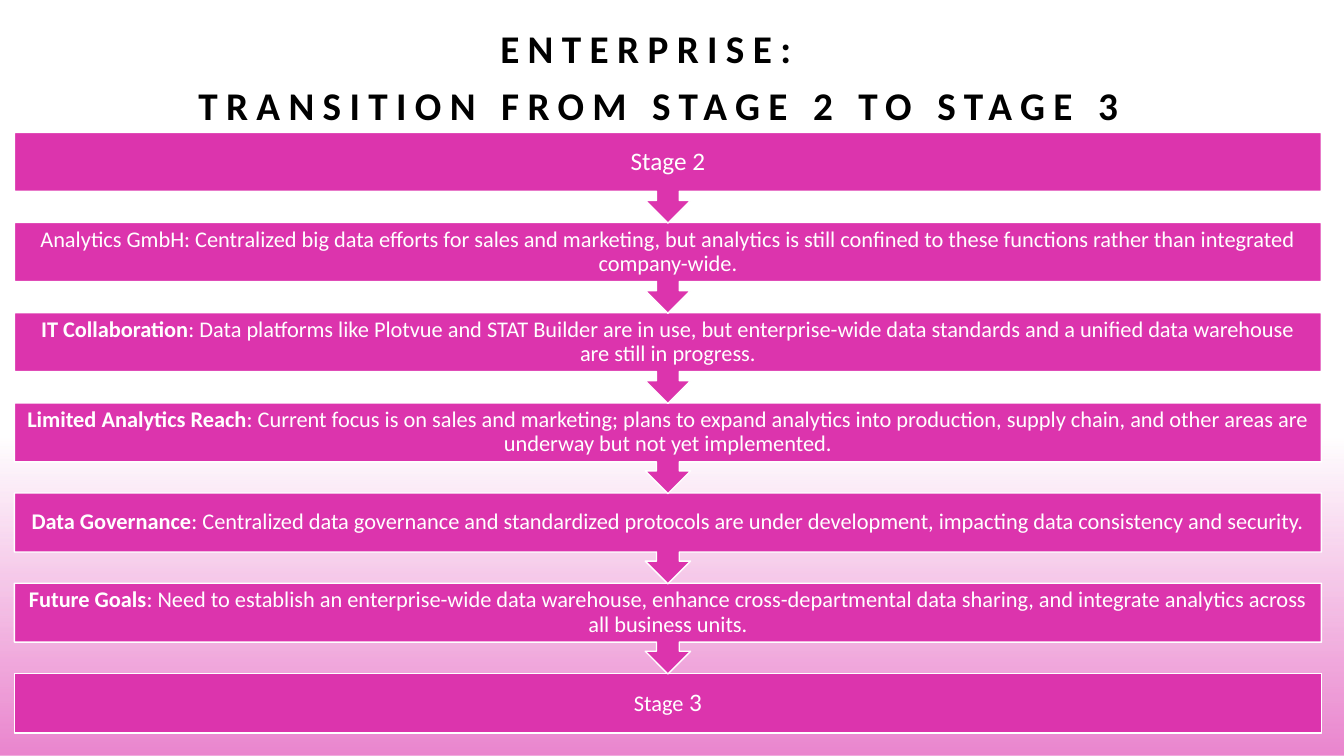
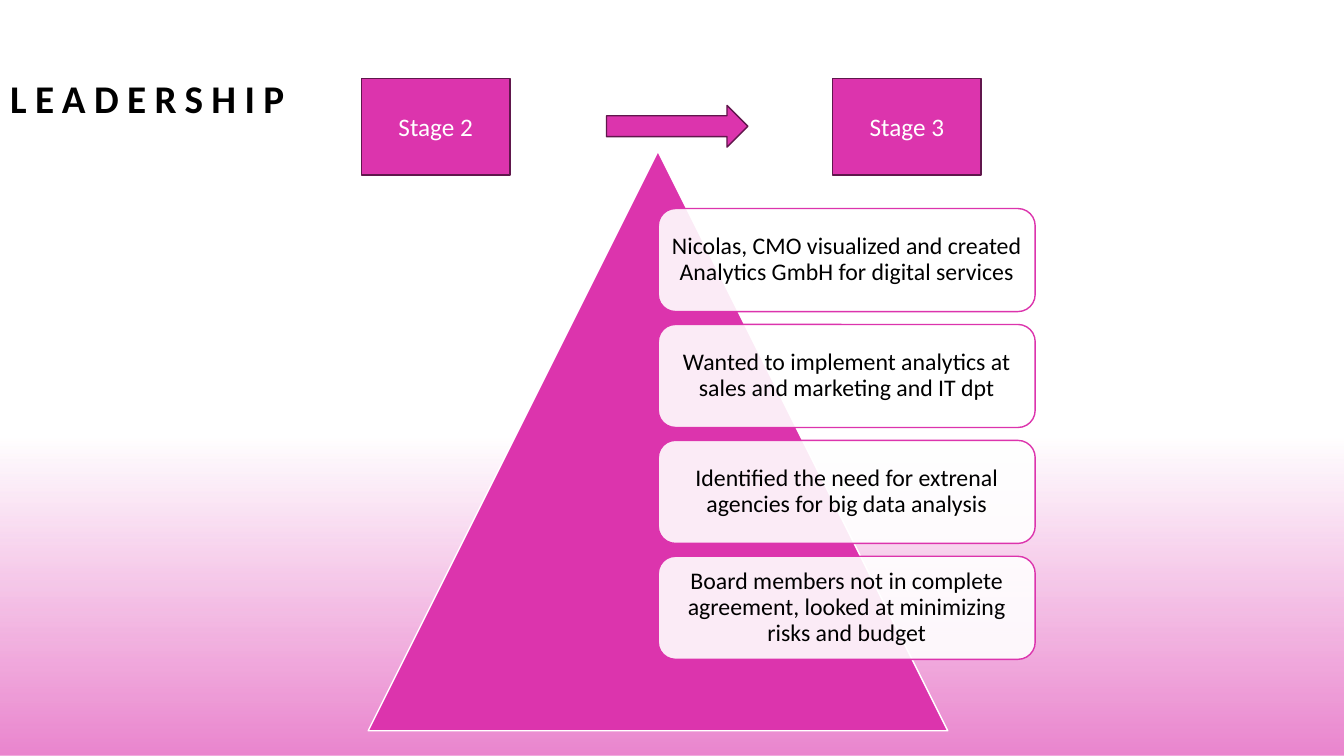
from dataclasses import dataclass

from lxml import etree
from pptx import Presentation
from pptx.dml.color import RGBColor
from pptx.enum.shapes import MSO_SHAPE
from pptx.enum.text import MSO_ANCHOR, MSO_AUTO_SIZE, PP_ALIGN
from pptx.oxml.ns import qn
from pptx.shapes.autoshape import Shape
from pptx.slide import Slide
from pptx.util import Pt

RECT = MSO_SHAPE.RECTANGLE
ROUND = MSO_SHAPE.ROUNDED_RECTANGLE
CALL = MSO_SHAPE.DOWN_ARROW_CALLOUT
PEAK = MSO_SHAPE.ISOSCELES_TRIANGLE
ARROW = MSO_SHAPE.RIGHT_ARROW
MID, BOTTOM = MSO_ANCHOR.MIDDLE, MSO_ANCHOR.BOTTOM
LEFT, CENTER = PP_ALIGN.LEFT, PP_ALIGN.CENTER
FIXED = MSO_AUTO_SIZE.NONE

FONT = "Calibri"
HUES = {
    "pink": "DC34AD",
    "glow": "EA85CE",
    "plum": "60174C",
    "white": "FFFFFF",
    "black": "000000",
}
WIDE, HIGH = 960, 540


@dataclass
class Box:
    """Place of a shape, in points."""
    x: float
    y: float
    w: float
    h: float


@dataclass
class Bit:
    """A stretch of text in one format."""
    text: str
    size: float = 16
    bold: bool = False


@dataclass
class Step:
    """One row of the process."""
    bits: list[Bit]


def rgb(name: str) -> RGBColor:
    return RGBColor.from_string(HUES[name])


def fade(fill: etree._Element, alpha: int) -> None:
    """Set the opacity, in percent, of the first colour in a fill."""
    hue = next(fill.iter(qn("a:srgbClr")))
    etree.SubElement(hue, qn("a:alpha")).set("val", str(alpha * 1000))


def draw(slide: Slide, kind: MSO_SHAPE, box: Box,
         fill: str = "pink", line: str = "white") -> Shape:
    shape = slide.shapes.add_shape(
        kind, Pt(box.x), Pt(box.y), Pt(box.w), Pt(box.h))
    shape.shadow.inherit = False
    shape.fill.solid()
    shape.fill.fore_color.rgb = rgb(fill)
    shape.line.color.rgb = rgb(line)
    shape.line.width = Pt(1)
    return shape


def write(shape: Shape, bits: list[Bit], hue: str = "white",
          side: float = 7.2, pitch: float = 0.9) -> None:
    frame = shape.text_frame
    frame.word_wrap = True
    frame.vertical_anchor = MID
    frame.margin_left = frame.margin_right = Pt(side)
    frame.margin_top = frame.margin_bottom = Pt(0)
    para = frame.paragraphs[0]
    para.alignment = CENTER
    para.line_spacing = pitch
    for bit in bits:
        run = para.add_run()
        run.text = bit.text
        run.font.name = FONT
        run.font.size = Pt(bit.size)
        run.font.bold = bit.bold
        run.font.color.rgb = rgb(hue)


def head(slide: Slide, text: str, box: Box, align: PP_ALIGN) -> None:
    """Fill and style the title placeholder."""
    title = slide.shapes.title
    title.left, title.top = Pt(box.x), Pt(box.y)
    title.width, title.height = Pt(box.w), Pt(box.h)
    frame = title.text_frame
    frame.text = text
    frame.word_wrap = True
    frame.auto_size = FIXED
    frame.vertical_anchor = BOTTOM
    para = frame.paragraphs[0]
    para.alignment = align
    para.line_spacing = 1.2
    for run in para.runs:
        run.font.name = FONT
        run.font.size = Pt(28)
        run.font.bold = True
        run.font.color.rgb = rgb("black")
    # Letter spacing
    for props in title.element.iter(qn("a:rPr")):
        props.set("spc", "600")


def glow(prs: Presentation, slide: Slide) -> None:
    """Put the fading band on the master, behind everything."""
    band = draw(slide, RECT, Box(0, 276.5, WIDE, HIGH - 276.5))
    band.line.fill.background()
    band.fill.gradient()
    band.fill.gradient_angle = 270
    for stop, place in zip(band.fill.gradient_stops, (0.14, 1)):
        stop.color.rgb = rgb("glow")
        stop.position = place
    fade(band.element.spPr, 0)
    next(band.element.iter(qn("p:cNvPr"))).set("id", "99")
    prs.slide_master.shapes.element.insert(2, band.element)


STEPS = [
    Step([Bit("Stage 2", 18)]),
    Step([Bit("Analytics GmbH: Centralized big data efforts for sales and "
              "marketing, but analytics is still confined to these functions "
              "rather than integrated company-wide.")]),
    Step([Bit("IT Collaboration", bold=True),
          Bit(": Data platforms like Plotvue and STAT Builder are in use, "
              "but enterprise-wide data standards and a unified data "
              "warehouse are still in progress.")]),
    Step([Bit("Limited Analytics Reach", bold=True),
          Bit(": Current focus is on sales and marketing; plans to expand "
              "analytics into production, supply chain, and other areas are "
              "underway but not yet implemented.")]),
    Step([Bit("Data Governance", bold=True),
          Bit(": Centralized data governance and standardized protocols are "
              "under development, impacting data consistency and security.")]),
    Step([Bit("Future Goals", bold=True),
          Bit(": Need to establish an enterprise-wide data warehouse, enhance "
              "cross-departmental data sharing, and integrate analytics "
              "across all business units.")]),
    Step([Bit("Stage"), Bit(" 3", 18)]),
]

CARDS = [
    "Nicolas, CMO visualized and created Analytics GmbH for digital services",
    "Wanted to implement analytics at sales and marketing and IT dpt",
    "Identified the need for extrenal agencies for big data analysis",
    "Board members not in complete agreement, looked at minimizing risks "
    "and budget",
]


def shift(slide: Slide) -> None:
    """Process from stage 2 to stage 3."""
    head(slide, "ENTERPRISE: \vTRANSITION FROM STAGE 2 TO STAGE 3",
         Box(65.5, 4.5, 810, 90.5), CENTER)
    last = len(STEPS) - 1
    # Lower rows come first, so each arrow tip lies on top
    for i in range(last, -1, -1):
        kind, high = (RECT, 42.5) if i == last else (CALL, 64.8)
        row = draw(slide, kind, Box(10.3, 94.6 + 64.4 * i, 933.6, high))
        write(row, STEPS[i].bits, side=8.5)


def lead(slide: Slide) -> None:
    """Leadership pyramid with its cards."""
    head(slide, "LEADERSHIP", Box(0, 0, 810, 90.5), LEFT)
    draw(slide, PEAK, Box(263, 108, 414, 414))
    for i, text in enumerate(CARDS):
        card = draw(slide, ROUND, Box(470.2, 149 + 82.8 * i, 269.2, 73.6),
                    "white", "pink")
        fade(card.element.spPr, 90)
        write(card, [Bit(text, 17)], "black", side=5)
    # Stages and the arrow between them
    for x, text in ((258.2, "Stage 2"), (594.8, "Stage 3")):
        stage = draw(slide, RECT, Box(x, 56, 106, 69), line="plum")
        write(stage, [Bit(text, 18)], pitch=1)
    draw(slide, ARROW, Box(433.2, 75.3, 101, 29.8), line="plum")


def main() -> None:
    prs = Presentation()
    prs.slide_width, prs.slide_height = Pt(WIDE), Pt(HIGH)
    plain = prs.slide_layouts[5]
    first = prs.slides.add_slide(plain)
    glow(prs, first)
    shift(first)
    lead(prs.slides.add_slide(plain))
    prs.save("out.pptx")


if __name__ == "__main__":
    main()
